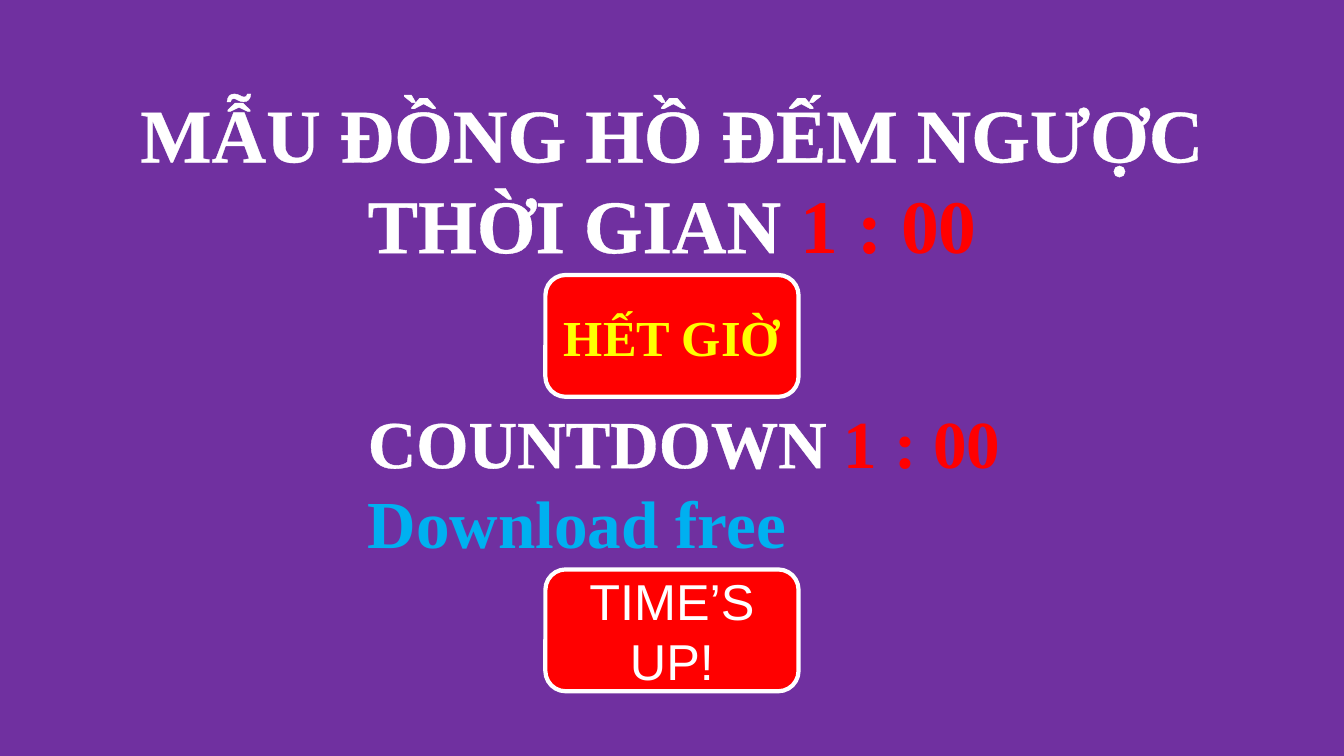
import pptx
import pptx.dml.color
import pptx.enum.shapes
import pptx.enum.text
import pptx.oxml
import pptx.oxml.ns
import pptx.util
from pptx.util import Cm

PURPLE, RED, WHITE, YELLOW, BLUE = "7030A0", "FF0000", "FFFFFF", "FFFF00", "00B0F0"
SERIF, SANS = "Times New Roman", "Arial"
SLIDE_WIDTH, SLIDE_HEIGHT = 33.87, 19.05


def paint(fill, colour):
    fill.solid()
    fill.fore_color.rgb = pptx.dml.color.RGBColor.from_string(colour)


def add_span(para, text, *, size, colour, font=SERIF, bold=True, outline=None):
    """Add a run; outline is the width in points of a line in the text colour."""
    span = para.add_run()
    span.text = text
    span.font.name = font
    span.font.size = pptx.util.Pt(size)
    span.font.bold = bold
    paint(span.font.fill, colour)
    if outline:
        line = pptx.oxml.parse_xml(
            f'<a:ln {pptx.oxml.ns.nsdecls("a")} w="{pptx.util.Pt(outline)}">'
            f'<a:solidFill><a:srgbClr val="{colour}"/></a:solidFill></a:ln>')
        span.font._element.insert(0, line)


class CountdownSlide:
    CENTER = pptx.enum.text.PP_ALIGN.CENTER
    LEFT = pptx.enum.text.PP_ALIGN.LEFT
    BUTTON_WIDTH, BUTTON_HEIGHT = 6.38, 3.07

    def __init__(self, deck):
        self.page = deck.slides.add_slide(deck.slide_layouts[5])
        paint(self.page.background.fill, PURPLE)

    def write_lines(self, box, lines, size, align):
        frame = box.text_frame
        frame.word_wrap = False
        frame.auto_size = pptx.enum.text.MSO_AUTO_SIZE.SHAPE_TO_FIT_TEXT
        frame.vertical_anchor = pptx.enum.text.MSO_ANCHOR.TOP
        for index, line in enumerate(lines):
            para = frame.add_paragraph() if index else frame.paragraphs[0]
            para.alignment = align
            for text, colour in line:
                add_span(para, text, size=size, colour=colour, outline=0.8)

    def title(self, left, top, width, height, lines, size):
        box = self.page.shapes.title
        box.left, box.top, box.width, box.height = map(Cm, (left, top, width, height))
        self.write_lines(box, lines, size, self.CENTER)

    def text(self, left, top, width, height, lines, size):
        box = self.page.shapes.add_textbox(*map(Cm, (left, top, width, height)))
        self.write_lines(box, lines, size, self.LEFT)

    def button(self, top, text, **style):
        left = (SLIDE_WIDTH - self.BUTTON_WIDTH) / 2
        box = self.page.shapes.add_shape(
            pptx.enum.shapes.MSO_SHAPE.ROUNDED_RECTANGLE,
            Cm(left), Cm(top), Cm(self.BUTTON_WIDTH), Cm(self.BUTTON_HEIGHT))
        box.shadow.inherit = False
        paint(box.fill, RED)
        paint(box.line.fill, WHITE)
        box.line.width = pptx.util.Pt(3)
        box.text_frame.word_wrap = True
        box.text_frame.vertical_anchor = pptx.enum.text.MSO_ANCHOR.MIDDLE
        para = box.text_frame.paragraphs[0]
        para.alignment = self.CENTER
        add_span(para, text, size=36, **style)


def main():
    deck = pptx.Presentation()
    deck.slide_width, deck.slide_height = Cm(SLIDE_WIDTH), Cm(SLIDE_HEIGHT)
    slide = CountdownSlide(deck)

    # Vietnamese heading and button
    slide.title(3.15, 2.06, 27.58, 4.88, [
        [("MẪU ĐỒNG HỒ ĐẾM NGƯỢC", WHITE)],
        [("THỜI GIAN ", WHITE), ("1 : 00", RED)],
    ], size=54)
    slide.button(6.93, "HẾT GIỜ", colour=YELLOW)

    # English heading and button
    slide.text(9.02, 9.98, 16.61, 4.37, [
        [("COUNTDOWN ", WHITE), ("1 : 00", RED)],
        [("Download free", BLUE)],
    ], size=48)
    slide.button(14.35, "TIME’S UP!", colour=WHITE, font=SANS, bold=False)

    deck.save("out.pptx")


if __name__ == "__main__":
    main()
